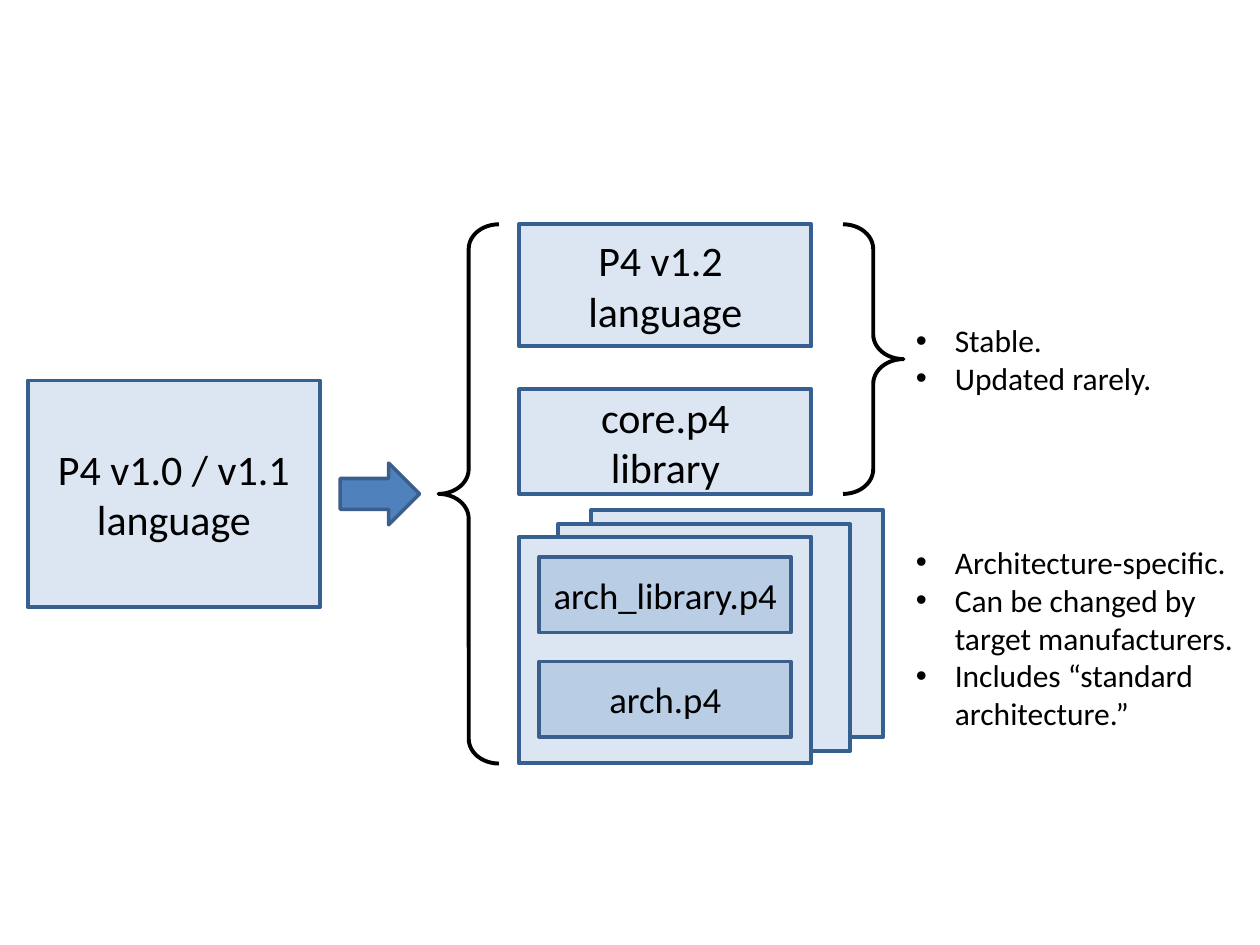
import pptx
import pptx.util
import pptx.dml.color
import pptx.enum.shapes
import pptx.enum.text
import pptx.oxml
from pptx.oxml.ns import qn
from lxml import etree

SHAPE = pptx.enum.shapes.MSO_SHAPE
ALIGN = pptx.enum.text.PP_ALIGN
ANCHOR = pptx.enum.text.MSO_ANCHOR

THEME = {
    "font": "Calibri",
    "text": "000000",
    "size": {"box": 24, "file": 21, "note": 18},
    # style: fill, line colour, line width
    "box": ("DCE6F2", "376092", 2.25),
    "file": ("B9CDE5", "3A5F8C", 2),
    "arrow": ("4F81BD", "3A5F8C", 2),
    "brace": (None, "000000", 2.25),
}

# Content (\v is a line break inside a paragraph)
OLD_LANGUAGE = ["P4 v1.0 / v1.1", "language"]
NEW_LANGUAGE = ["P4 v1.2 \vlanguage"]
CORE_LIBRARY = ["core.p4", "library"]
ARCHITECTURE_FILES = [["arch_library.p4"], ["arch.p4"]]
STABLE_NOTES = ["Stable.", "Updated rarely."]
ARCHITECTURE_NOTES = [
    "Architecture-specific.",
    "Can be changed by \vtarget manufacturers.",
    "Includes “standard\varchitecture.”",
]

# Grid, in inches
SLIDE_WIDTH, SLIDE_HEIGHT = 10, 7.5
OLD_LEFT, NEW_LEFT, NOTE_LEFT = 0.22, 4.12, 7.17
BOX_WIDTH, TALL = 2.32, 1.8
TOP, CORE_TOP, CORE_BOTTOM, ARCH_TOP = 1.78, 3.09, 3.92, 4.26
BOTTOM = ARCH_TOP + TALL
MIDDLE = (TOP + BOTTOM) / 2
STACK_OFFSETS = [(0.57, -0.21), (0.31, -0.1), (0, 0)]
FILE_WIDTH, FILE_HEIGHT, FILE_STEP = 2, 0.6, 0.83
BRACE_WIDTH = 0.48
ARROW_WIDTH, ARROW_HEIGHT = 0.63, 0.49
INDENT = 0.31


def apply(target, values):
    for name, value in values.items():
        setattr(target, name, value)


def rgb(code):
    return pptx.dml.color.RGBColor.from_string(code)


def inches(*lengths):
    return [pptx.util.Inches(length) for length in lengths]


def write(shape, lines, size, align, bullets=False):
    frame = shape.text_frame
    for index, line in enumerate(lines):
        paragraph = frame.paragraphs[0] if index == 0 else frame.add_paragraph()
        paragraph.text = line
        paragraph.alignment = align
        for run in paragraph.runs:
            apply(run.font, {"name": THEME["font"],
                             "size": pptx.util.Pt(THEME["size"][size])})
            run.font.color.rgb = rgb(THEME["text"])
        if bullets:
            properties = paragraph._p.get_or_add_pPr()
            indent = pptx.util.Inches(INDENT)
            properties.set("marL", str(indent))
            properties.set("indent", str(-indent))
            etree.SubElement(properties, qn("a:buFont")).set("typeface", "Arial")
            etree.SubElement(properties, qn("a:buChar")).set("char", "•")


def add_styled(slide, kind, box, style, lines=()):
    shape = slide.shapes.add_shape(kind, *inches(*box))
    shape.shadow.inherit = False
    fill, line, width = THEME[style]
    if fill:
        shape.fill.solid()
        shape.fill.fore_color.rgb = rgb(fill)
    else:
        shape.fill.background()
    shape.line.color.rgb = rgb(line)
    shape.line.width = pptx.util.Pt(width)
    if lines:
        apply(shape.text_frame, {"vertical_anchor": ANCHOR.MIDDLE, "word_wrap": True})
        write(shape, lines, style, ALIGN.CENTER)
    return shape


def add_brace(slide, left, top, bottom, rotation=0):
    brace = add_styled(slide, SHAPE.LEFT_BRACE,
                       (left, top, BRACE_WIDTH, bottom - top), "brace")
    brace.adjustments[0] = 0.408
    brace.rotation = rotation


def add_notes(slide, top, width, height, lines, wrap):
    notes = slide.shapes.add_textbox(*inches(NOTE_LEFT, top, width, height))
    apply(notes.text_frame, {"word_wrap": wrap,
                             "auto_size": pptx.enum.text.MSO_AUTO_SIZE.SHAPE_TO_FIT_TEXT})
    write(notes, lines, "note", ALIGN.LEFT, bullets=True)


def main():
    presentation = pptx.Presentation()
    apply(presentation, dict(zip(("slide_width", "slide_height"),
                                 inches(SLIDE_WIDTH, SLIDE_HEIGHT))))
    slide = presentation.slides.add_slide(presentation.slide_layouts[6])

    # Language boxes and core library
    boxes = [
        (OLD_LEFT, MIDDLE - TALL / 2, TALL, OLD_LANGUAGE),
        (NEW_LEFT, TOP, 0.97, NEW_LANGUAGE),
        (NEW_LEFT, CORE_TOP, CORE_BOTTOM - CORE_TOP, CORE_LIBRARY),
    ]
    for left, top, height, lines in boxes:
        add_styled(slide, SHAPE.RECTANGLE, (left, top, BOX_WIDTH, height), "box", lines)

    # Stack of architectures, back to front, with the files on the front one
    for across, down in STACK_OFFSETS:
        add_styled(slide, SHAPE.RECTANGLE,
                   (NEW_LEFT + across, ARCH_TOP + down, BOX_WIDTH, TALL), "box")
    file_left = NEW_LEFT + (BOX_WIDTH - FILE_WIDTH) / 2
    for row, lines in enumerate(ARCHITECTURE_FILES):
        add_styled(slide, SHAPE.RECTANGLE,
                   (file_left, ARCH_TOP + 0.16 + row * FILE_STEP, FILE_WIDTH, FILE_HEIGHT),
                   "file", lines)

    # Arrow and braces
    add_styled(slide, SHAPE.RIGHT_ARROW,
               (2.7, MIDDLE - ARROW_HEIGHT / 2, ARROW_WIDTH, ARROW_HEIGHT), "arrow")
    add_brace(slide, 3.48, TOP, BOTTOM)
    add_brace(slide, NOTE_LEFT - BRACE_WIDTH, TOP, CORE_BOTTOM, rotation=180)

    # Notes
    add_notes(slide, 2.5, 2.1, 0.71, STABLE_NOTES, wrap=False)
    add_notes(slide, ARCH_TOP, 2.94, 1.62, ARCHITECTURE_NOTES, wrap=True)

    presentation.save("out.pptx")


if __name__ == "__main__":
    main()
